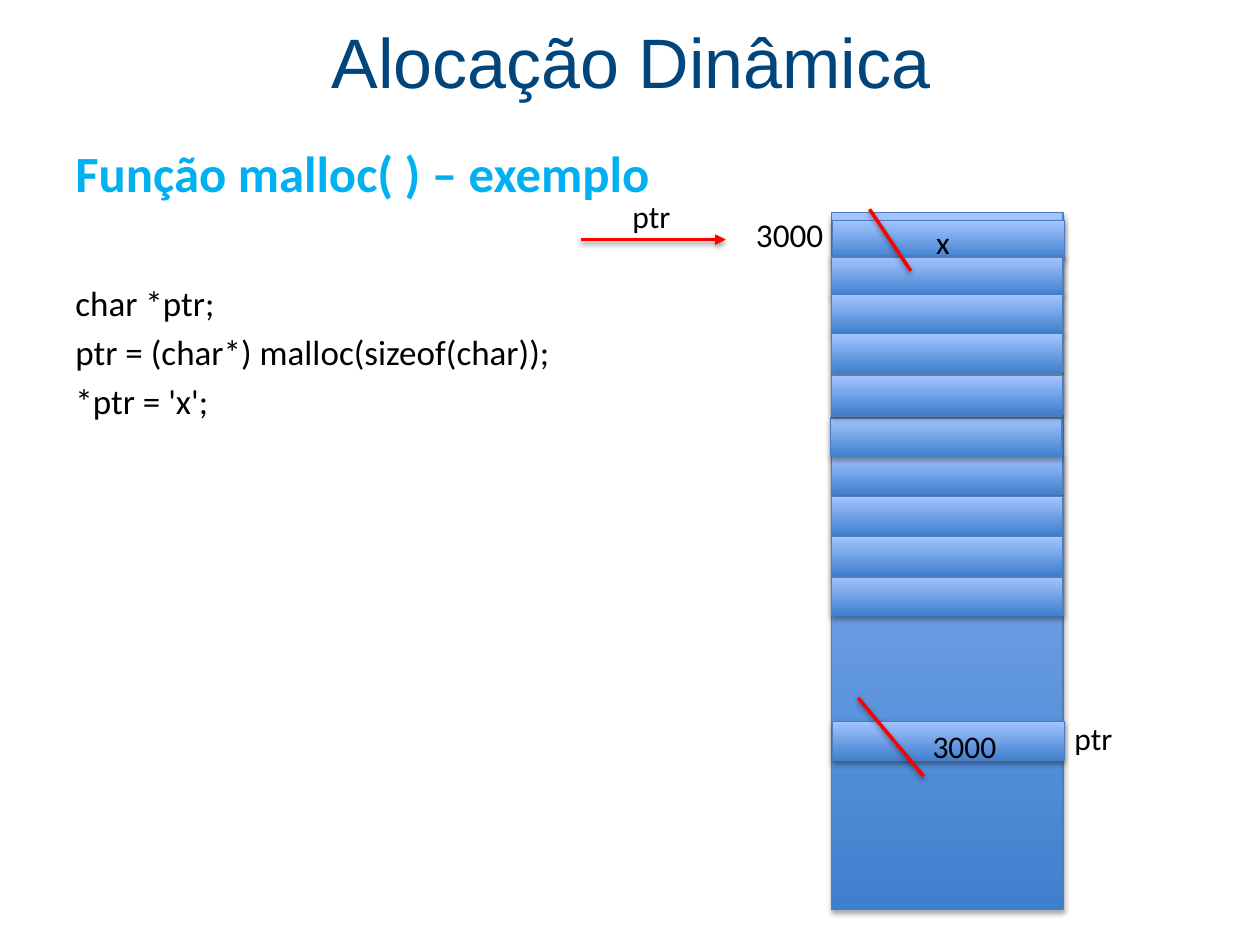
"""Slide on dynamic allocation: a malloc() example beside a memory diagram."""
import lxml.etree
import pptx
import pptx.dml.color
import pptx.enum.shapes
import pptx.enum.text
import pptx.oxml
import pptx.oxml.ns
import pptx.util
from pptx.util import Cm, Pt

COLORS = {"title": "00457C", "heading": "00B0F0", "text": "000000",
          "cell_dark": "3F80CE", "cell_light": "A4C4FF",
          "cell_line": "4B7EBC", "arrow": "FF0000"}
RGB = {k: pptx.dml.color.RGBColor.from_string(v) for k, v in COLORS.items()}
ALIGN = pptx.enum.text.PP_ALIGN


def add_shadow(sp, opacity, distance):
    sp._element.spPr.append(pptx.oxml.parse_xml(
        f'<a:effectLst {pptx.oxml.ns.nsdecls("a")}>'
        f'<a:outerShdw blurRad="{Pt(3.1)}" dist="{Pt(distance)}" dir="5400000" rotWithShape="0">'
        f'<a:srgbClr val="000000"><a:alpha val="{opacity * 1000}"/></a:srgbClr>'
        '</a:outerShdw></a:effectLst>'))


def set_font(p, name, size, color, bold=False):
    p.font.name = name
    p.font.size = Pt(size)
    p.font.bold = bold
    p.font.color.rgb = RGB[color]


prs = pptx.Presentation()
prs.slide_width, prs.slide_height = Cm(25.4), Cm(19.05)
s = prs.slides.add_slide(prs.slide_layouts[6])

tf = s.shapes.add_textbox(Cm(1.27), Cm(2.74), Cm(23.57), Cm(15.57)).text_frame
tf.word_wrap = True
code = ["char *ptr;", "ptr = (char*) malloc(sizeof(char));", "*ptr = 'x';"]
p = tf.paragraphs[0]
p.text = "Função malloc( ) – exemplo"
set_font(p, "Calibri", 29, "heading", True)
for text, space in zip(code, (45, 4, 4)):
    p = tf.add_paragraph()
    p.text = text
    p.alignment = ALIGN.JUSTIFY
    p.space_before = Pt(space)
    set_font(p, "Calibri", 20, "text")

tf = s.shapes.add_textbox(Cm(0.89), Cm(0.08), Cm(23.65), Cm(2.29)).text_frame
tf.word_wrap = True
tf.vertical_anchor = pptx.enum.text.MSO_ANCHOR.MIDDLE
p = tf.paragraphs[0]
p.text = "Alocação Dinâmica"
p.alignment = ALIGN.CENTER
set_font(p, "Arial", 40, "title")

memory = [(16.76, 4.29, 14.05)]
cells = [(16.79, 4.45), (16.76, 5.18), (16.76, 5.94), (16.76, 6.73),
         (16.76, 9.19), (16.74, 8.43), (16.76, 7.57), (16.76, 10.01),
         (16.76, 10.82), (16.76, 11.63), (16.79, 14.55)]
for left, top, height in memory + [(x, y, 0.78) for x, y in cells]:
    sp = s.shapes.add_shape(pptx.enum.shapes.MSO_SHAPE.RECTANGLE,
                            Cm(left), Cm(top), Cm(4.67), Cm(height))
    sp.fill.gradient()
    sp.fill.gradient_angle = 90
    for stop, color in zip(sp.fill.gradient_stops, ("cell_dark", "cell_light")):
        stop.color.rgb = RGB[color]
    sp.line.color.rgb = RGB["cell_line"]
    sp.line.width = Pt(0.75)
    add_shadow(sp, 35, 1.8)

labels = [("3000", 14.99, 4.19, 19), ("ptr", 21.41, 14.38, 18),
          ("3000", 18.55, 14.54, 18), ("ptr", 12.5, 3.85, 18),
          ("x", 18.62, 4.37, 18)]
for text, left, top, size in labels:
    tf = s.shapes.add_textbox(Cm(left), Cm(top), Cm(2.1), Cm(1.03)).text_frame
    tf.word_wrap = True
    p = tf.paragraphs[0]
    p.text = text
    set_font(p, "Calibri", size, "text")

lines = [(11.71, 4.83, 14.63, 4.83, True), (17.3, 14.07, 18.62, 15.65, False),
         (17.53, 4.22, 18.36, 5.46, False)]
for x1, y1, x2, y2, arrow in lines:
    sp = s.shapes.add_connector(pptx.enum.shapes.MSO_CONNECTOR.STRAIGHT,
                                Cm(x1), Cm(y1), Cm(x2), Cm(y2))
    sp.line.color.rgb = RGB["arrow"]
    sp.line.width = Pt(2)
    if arrow:
        lxml.etree.SubElement(sp.line._get_or_add_ln(),
                              pptx.oxml.ns.qn("a:tailEnd"), type="triangle")
    add_shadow(sp, 38, 1.6)

prs.save("out.pptx")
